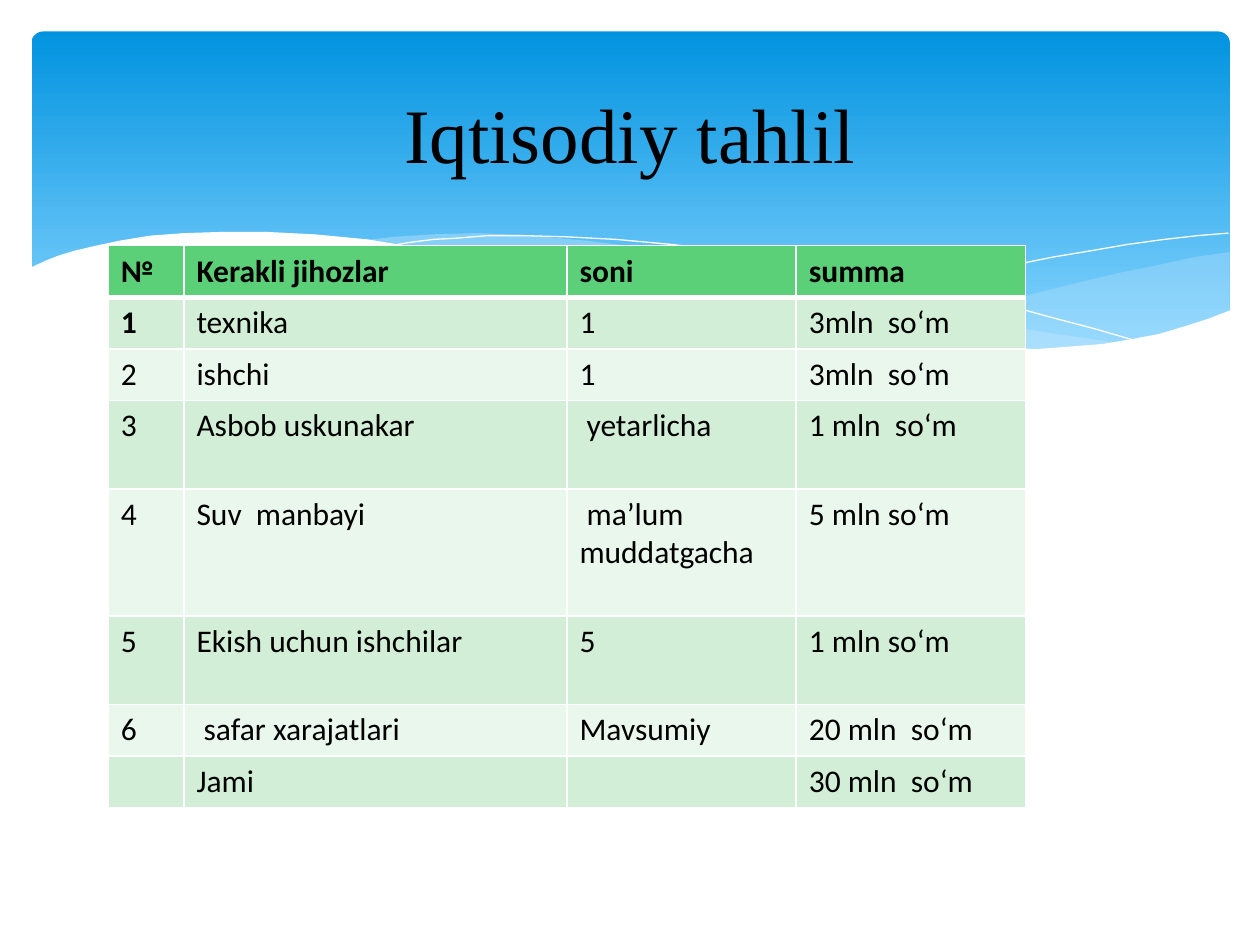
from lxml import etree
from pptx import Presentation
from pptx import util as u
from pptx.dml.color import RGBColor
from pptx.enum import shapes, text
from pptx.oxml.ns import qn

WHITE = RGBColor(0xFF, 0xFF, 0xFF)
BLACK = RGBColor(0, 0, 0)
DEEP = RGBColor(0x02, 0x93, 0xE0)
SKY = RGBColor(0x83, 0xD3, 0xFE)
MIST = RGBColor(0xC6, 0xE7, 0xFC)
GREEN = RGBColor(0x5B, 0xD0, 0x78)
BANDS = (RGBColor(0xD2, 0xEE, 0xD6), RGBColor(0xEA, 0xF7, 0xEC))

# Outlines of the banner's waves, in inches
RIGHT = [(9.76, 2), (9.48, 2.04), (9.21, 2.1), (8.91, 2.16), (8.61, 2.23),
         (8.05, 2.37), (7.53, 2.48), (7.06, 2.57), (6.61, 2.65), (6.91, 2.69),
         (7.19, 2.72), (7.45, 2.75), (7.69, 2.77), (8.03, 2.78), (8.35, 2.77),
         (8.63, 2.75), (8.89, 2.72), (9.13, 2.67), (9.35, 2.62), (9.49, 2.57),
         (9.63, 2.52), (9.76, 2.47)]
LONG = [(8.93, 2.73), (8.66, 2.69), (8.37, 2.65), (8.07, 2.6), (7.75, 2.54),
        (7.41, 2.47), (7.06, 2.4), (6.68, 2.31), (6.29, 2.22), (5.98, 2.14),
        (5.69, 2.08), (5.41, 2.03), (5.14, 1.98), (4.89, 1.94), (4.65, 1.91),
        (4.42, 1.89), (4.2, 1.87), (3.8, 1.85), (3.44, 1.86), (3.13, 1.88),
        (2.86, 1.91), (3.23, 1.96), (3.62, 2.03), (4.04, 2.11), (4.49, 2.22),
        (4.91, 2.32), (5.3, 2.4), (5.66, 2.48), (6.01, 2.55), (6.34, 2.61),
        (6.65, 2.66), (6.95, 2.7), (7.22, 2.74), (7.48, 2.76), (7.73, 2.77),
        (7.96, 2.78), (8.28, 2.78), (8.57, 2.77), (8.76, 2.75)]
CREST = [(3.09, 1.95), (3.28, 1.92), (3.44, 1.9), (3.63, 1.89), (3.87, 1.87),
         (4.16, 1.87), (4.5, 1.88), (4.89, 1.9), (5.33, 1.94), (5.82, 2),
         (6.36, 2.08), (6.65, 2.13), (6.95, 2.19), (7.27, 2.26), (7.6, 2.33),
         (7.95, 2.41), (8.31, 2.51), (8.69, 2.61), (9.07, 2.72)]
RISE = [(6.13, 2.57), (6.53, 2.46), (6.95, 2.35), (7.48, 2.23), (8.06, 2.1),
        (8.36, 2.04), (8.66, 1.99), (8.95, 1.94), (9.24, 1.9), (9.51, 1.87),
        (9.75, 1.85)]
FRONT = [(9.77, 2.46), (9.59, 2.53), (9.4, 2.59), (9.2, 2.65), (8.99, 2.69),
         (8.75, 2.73), (8.5, 2.75), (8.23, 2.77), (7.93, 2.76), (7.61, 2.75),
         (7.26, 2.72), (6.88, 2.68), (6.48, 2.62), (6.03, 2.54), (5.55, 2.45),
         (5.03, 2.33), (4.47, 2.2), (4.18, 2.13), (3.91, 2.07), (3.65, 2.02),
         (3.4, 1.97), (3.16, 1.94), (2.92, 1.9), (2.5, 1.86), (2.11, 1.84),
         (1.77, 1.84), (1.46, 1.85), (1.19, 1.87), (0.95, 1.91), (0.76, 1.95),
         (0.59, 1.99), (0.46, 2.03), (0.36, 2.07), (0.23, 2.13), (0.23, 3.29),
         (9.77, 3.29)]

COLS = (0.6, 3.04, 1.82, 1.82)
HIGH = (0.41, 0.41, 0.41, 0.7, 1.01, 0.7, 0.41, 0.41)
ROWS = [
    ("№", "Kerakli jihozlar", "soni", "summa"),
    ("1", "texnika", "1", "3mln  so‘m"),
    ("2", "ishchi", "1", "3mln  so‘m"),
    ("3", "Asbob uskunakar", " yetarlicha", "1 mln  so‘m"),
    ("4", "Suv  manbayi", " ma’lum muddatgacha", "5 mln so‘m"),
    ("5", "Ekish uchun ishchilar", "5", "1 mln so‘m"),
    ("6", " safar xarajatlari", "Mavsumiy", "20 mln  so‘m"),
    ("", "Jami", "", "30 mln  so‘m"),
]


def write(frame, words, size=18, font="Calibri", bold=False, align=None):
    para = frame.paragraphs[0]
    para.alignment = align
    face = para.font
    if words:
        run = para.add_run()
        run.text = words
        face = run.font
    face.size, face.name, face.bold = u.Pt(size), font, bold
    face.color.rgb = BLACK


def panel(slide):
    box = slide.shapes.add_shape(
        shapes.MSO_SHAPE.ROUNDED_RECTANGLE,
        u.Inches(0.25), u.Inches(0.25), u.Inches(9.51), u.Inches(2.7))
    box.adjustments[0] = 0.034
    box.shadow.inherit = False
    box.line.fill.background()
    box.fill.gradient()
    box.fill.gradient_angle = 270
    for stop, color, place in zip(box.fill.gradient_stops, (DEEP, SKY), (0, 0.9)):
        stop.color.rgb, stop.position = color, place


def wave(slide, points, fill=None, alpha=100):
    """Filled wave, or a white hairline when no fill is given."""
    dots = [(u.Inches(x), u.Inches(y)) for x, y in points]
    pen = slide.shapes.build_freeform(*dots[0])
    pen.add_line_segments(dots[1:], close=fill is not None)
    form = pen.convert_to_shape()
    form.shadow.inherit = False
    if fill is None:
        form.fill.background()
        form.line.color.rgb = WHITE
        form.line.width = u.Pt(0)
        return
    form.line.fill.background()
    form.fill.solid()
    form.fill.fore_color.rgb = fill
    if alpha < 100:
        tint = form._element.spPr.find(qn("a:solidFill"))[0]
        etree.SubElement(tint, qn("a:alpha"), val=str(alpha * 1000))


def border(cell, **widths):
    props = cell._tc.get_or_add_tcPr()
    for i, side in enumerate("LRTB"):
        line = etree.Element(qn("a:ln" + side), w=str(u.Pt(widths.get(side, 1))))
        fill = etree.SubElement(line, qn("a:solidFill"))
        etree.SubElement(fill, qn("a:srgbClr"), val=str(WHITE))
        props.insert(i, line)


def costs(slide):
    grid = slide.shapes.add_table(
        len(ROWS), len(COLS), u.Inches(0.86), u.Inches(1.95),
        u.Inches(sum(COLS)), u.Inches(sum(HIGH))).table
    for col, width in zip(grid.columns, COLS):
        col.width = u.Inches(width)
    for r, (row, words) in enumerate(zip(grid.rows, ROWS)):
        row.height = u.Inches(HIGH[r])
        for c, (cell, word) in enumerate(zip(row.cells, words)):
            cell.fill.solid()
            cell.fill.fore_color.rgb = BANDS[(r - 1) % 2] if r else GREEN
            border(cell, T=3 if r == 1 else 1, B=1 if r else 3)
            write(cell.text_frame, word, bold=r == 0 or (r, c) == (1, 0))


def heading(slide):
    title = slide.shapes.title
    title.left, title.top = u.Inches(0.5), u.Inches(0.37)
    title.width, title.height = u.Inches(9), u.Inches(1.37)
    title.text_frame.vertical_anchor = text.MSO_ANCHOR.MIDDLE
    write(title.text_frame, "Iqtisodiy tahlil", size=44,
          font="Times New Roman", align=text.PP_ALIGN.CENTER)
    # Bring the title in front of the banner
    slide.shapes._spTree.append(title._element)


def main():
    deck = Presentation()
    deck.slide_width, deck.slide_height = u.Inches(10), u.Inches(7.5)
    slide = deck.slides.add_slide(deck.slide_layouts[5])
    # Banner
    panel(slide)
    wave(slide, RIGHT, MIST, 29)
    wave(slide, LONG, MIST, 40)
    wave(slide, CREST)
    wave(slide, RISE)
    wave(slide, FRONT, WHITE)
    # Content
    costs(slide)
    heading(slide)
    deck.save("out.pptx")


if __name__ == "__main__":
    main()
